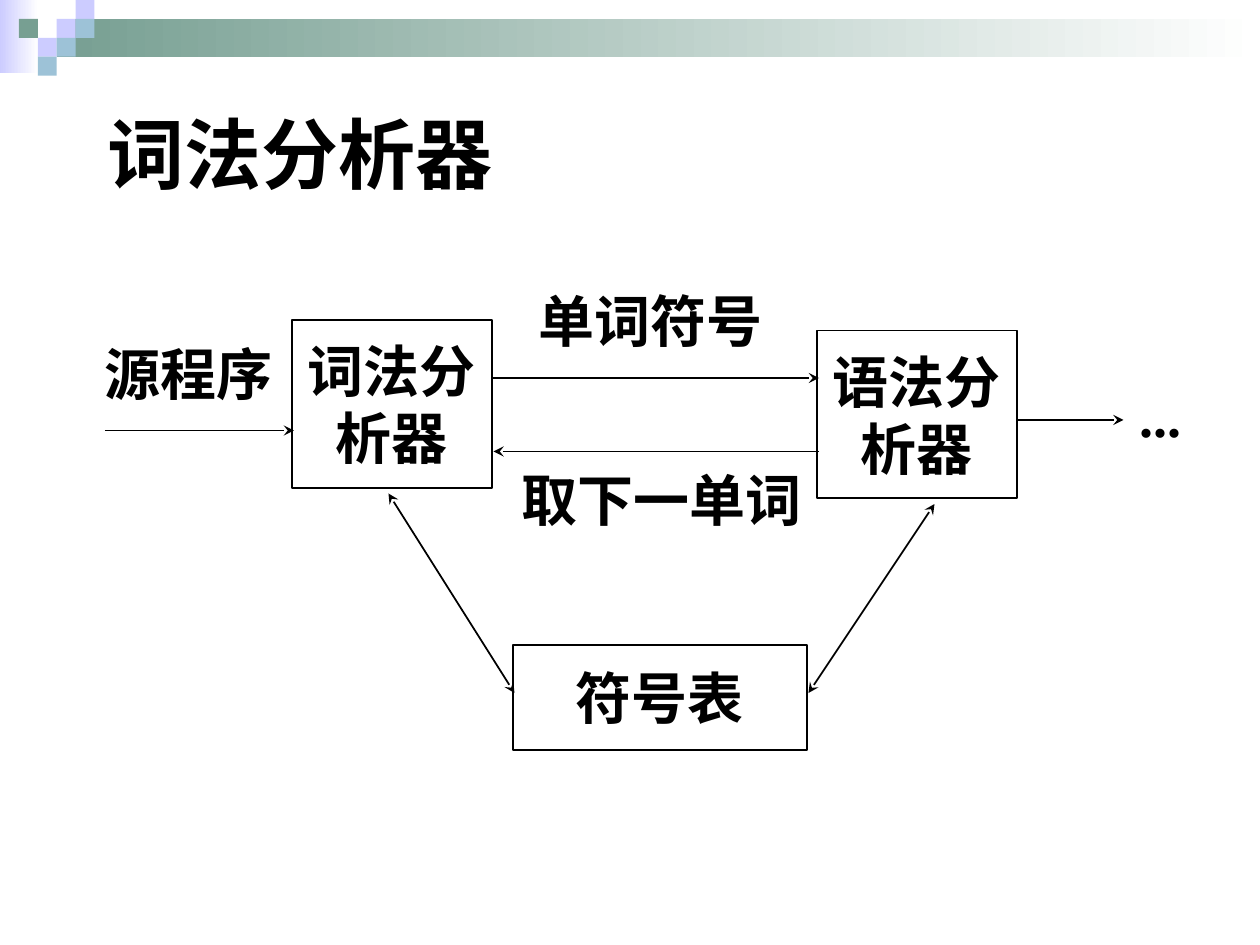
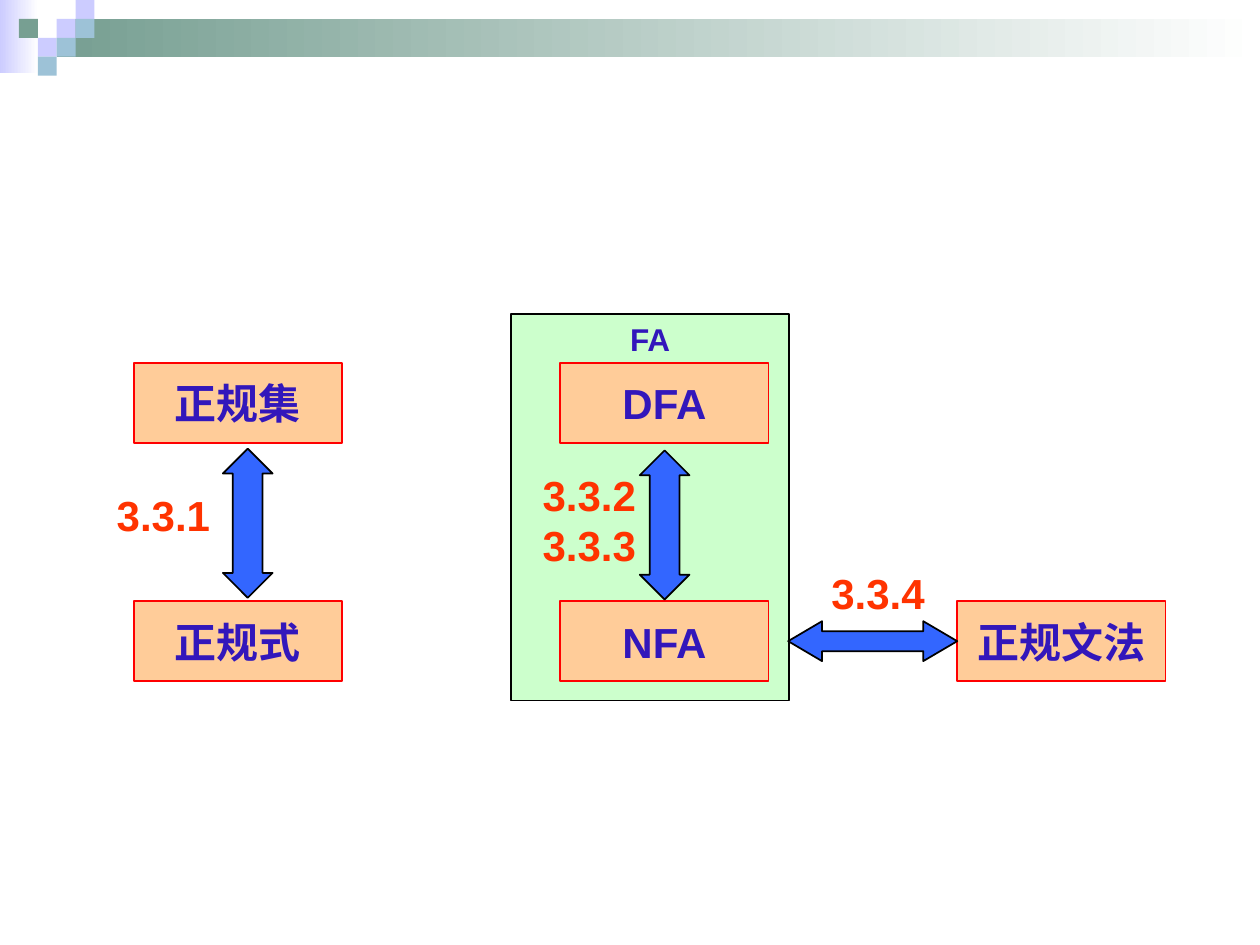
from lxml import etree
from pptx import Presentation
from pptx.dml.color import RGBColor
from pptx.enum.shapes import MSO_CONNECTOR, MSO_SHAPE as Preset
from pptx.enum.text import MSO_ANCHOR as Anchor, MSO_AUTO_SIZE as AutoSize, PP_ALIGN as Align
from pptx.oxml.ns import qn
from pptx.util import Pt

# ---- Shared style ----
BLACK, WHITE = "000000", "FFFFFF"
LAVENDER, SKY, SAGE = "CCCCFF", "9DC2D7", "779F92"
PEACH, MINT, RED, BLUE = "FFCC99", "CCFFCC", "FF0000", "3366FF"
INDIGO, ORANGE = "3217BB", "FF3300"
SERIF, SANS, CJK = "Times New Roman", "Arial", "Noto Sans CJK SC"

CELL = 10.8
CORNER_CELLS = [  # column, row, colour
    (3, 1, LAVENDER), (4, 0, LAVENDER), (4, 1, SKY), (2, 2, LAVENDER),
    (1, 1, SAGE), (3, 2, SKY), (2, 3, SKY),
]
FADING_BANDS = [((0, 0, 22, 41.8), LAVENDER), ((32.4, 10.8, 687.6, 21.6), SAGE)]

# ---- Slide 1: lexer and parser ----
LEXER_TITLE = "词法分析器"
TITLE_AREA = (54, 42, 630, 90)
MODULES = [
    (["词法分", "析器"], (167, 182.8, 114, 96)),
    (["语法分", "析器"], (467, 188.8, 114, 96)),
    (["符号表"], (293, 368.6, 168, 60)),
]
FLOW_LABELS = [
    ("源程序", (48, 186, 120, 54)),
    ("单词符号", (312, 156, 120, 54)),
    ("取下一单词", (288, 258, 180, 54)),
    ("...", (630, 210, 66, 54)),
]
FLOWS = [  # start, end, arrowhead at both ends
    ((60, 246), (168, 246), False),
    ((282, 216), (468, 216), False),
    ((468, 258), (282, 258), False),
    ((222, 282), (294, 396), True),
    ((534, 288), (462, 396), True),
    ((582, 240), (642, 240), False),
]

# ---- Slide 2: regular formalisms ----
FA_PANEL = ("FA", (292, 179.4, 159, 221))
COLUMNS = {"set": 76.4, "automaton": 320.2, "grammar": 547}
ROWS = {"upper": 207.4, "lower": 343.6}
CARD_SIZE = (119, 45.6)
CARDS = [
    ("正规集", "set", "upper"), ("正规式", "set", "lower"),
    ("DFA", "automaton", "upper"), ("NFA", "automaton", "lower"),
    ("正规文法", "grammar", "lower"),
]
EQUIVALENCES = [  # preset, area, head length ratio
    (Preset.LEFT_RIGHT_ARROW, (450.4, 355, 96.6, 22.8), 0.85),
    (Preset.UP_DOWN_ARROW, (127.4, 256.4, 28.4, 85.2), 0.6),
    (Preset.UP_DOWN_ARROW, (365.6, 257.4, 28.4, 85.2), 0.6),
]
SECTIONS = [
    (["3.3.1"], (59.6, 276, 68, 36)),
    (["3.3.2", "3.3.3"], (303, 264.6, 68, 65)),
    (["3.3.4"], (468, 321, 68, 36)),
]


def rgb(colour):
    return RGBColor.from_string(colour)


def points(values):
    return [Pt(value) for value in values]


def write(owner, lines, size, colour, font, align=Align.CENTER, anchor=Anchor.MIDDLE, wrap=False):
    frame = owner.text_frame
    frame.auto_size = AutoSize.NONE
    frame.word_wrap = wrap
    frame.vertical_anchor = anchor
    for index, line in enumerate(lines):
        paragraph = frame.add_paragraph() if index else frame.paragraphs[0]
        paragraph.alignment = align
        run = paragraph.add_run()
        run.text = line
        run.font.size, run.font.bold, run.font.name = Pt(size), True, font
        run.font.color.rgb = rgb(colour)
        east_asian = etree.SubElement(run.font._element, qn("a:ea"))
        east_asian.set("typeface", CJK)


def add_block(slide, area, fill=None, line=None, preset=Preset.RECTANGLE):
    block = slide.shapes.add_shape(preset, *points(area))
    block.shadow.inherit = False
    if fill:
        block.fill.solid()
        block.fill.fore_color.rgb = rgb(fill)
    else:
        block.fill.background()
    if line:
        block.line.color.rgb = rgb(line)
        block.line.width = Pt(1)
    else:
        block.line.fill.background()
    return block


def add_label(slide, lines, area, *style, **layout):
    write(slide.shapes.add_textbox(*points(area)), lines, *style, **layout)


def add_flow(slide, start, end, both_ends):
    flow = slide.shapes.add_connector(MSO_CONNECTOR.STRAIGHT, *points(start + end))
    flow.line.color.rgb = rgb(BLACK)
    flow.line.width = Pt(1)
    outline = flow.line._get_or_add_ln()
    for tag in (["a:headEnd"] if both_ends else []) + ["a:tailEnd"]:
        etree.SubElement(outline, qn(tag)).set("type", "stealth")
    etree.SubElement(flow.element.spPr, qn("a:effectLst"))


def decorate_master(deck, slide):
    """Draw the bands and corner cells, then move them behind the master's placeholders."""
    decorations = []
    for area, colour in FADING_BANDS:
        band = add_block(slide, area, WHITE)
        band.fill.gradient()
        band.fill.gradient_angle = 0
        for stop, shade in zip(band.fill.gradient_stops, (colour, WHITE)):
            stop.color.rgb = rgb(shade)
        decorations.append(band)
    for column, row, colour in CORNER_CELLS:
        decorations.append(add_block(slide, (column * CELL, row * CELL, CELL, CELL), colour))
    tree = deck.slide_master.shapes.element
    for index, decoration in enumerate(decorations):
        decoration.element.xpath(".//p:cNvPr")[0].set("id", str(100 + index))
        tree.insert(2 + index, decoration.element)


def build_lexer(slide):
    title = slide.shapes.title
    title.left, title.top, title.width, title.height = points(TITLE_AREA)
    write(title, [LEXER_TITLE], 44, BLACK, CJK, align=Align.LEFT, wrap=True)
    for lines, area in MODULES:
        write(add_block(slide, area, line=BLACK), lines, 32, BLACK, SERIF)
    for label, area in FLOW_LABELS:
        add_label(slide, [label], area, 32, BLACK, SERIF)
    for flow in FLOWS:
        add_flow(slide, *flow)


def build_formalisms(slide):
    name, area = FA_PANEL
    write(add_block(slide, area, MINT, BLACK), [name], 18, INDIGO, SANS, anchor=Anchor.TOP)
    for name, column, row in CARDS:
        card = add_block(slide, (COLUMNS[column], ROWS[row], *CARD_SIZE), PEACH, RED)
        write(card, [name], 24, INDIGO, SANS)
    for preset, area, head in EQUIVALENCES:
        arrow = add_block(slide, area, BLUE, BLACK, preset)
        arrow.adjustments[0], arrow.adjustments[1] = 0.5, head
    for numbers, area in SECTIONS:
        add_label(slide, numbers, area, 24, ORANGE, SANS, align=Align.LEFT, anchor=Anchor.TOP)


def main():
    deck = Presentation()
    deck.slide_width, deck.slide_height = Pt(720), Pt(540)
    title_only, blank = deck.slide_layouts[5], deck.slide_layouts[6]
    lexer = deck.slides.add_slide(title_only)
    decorate_master(deck, lexer)
    build_lexer(lexer)
    build_formalisms(deck.slides.add_slide(blank))
    deck.save("out.pptx")


if __name__ == "__main__":
    main()
